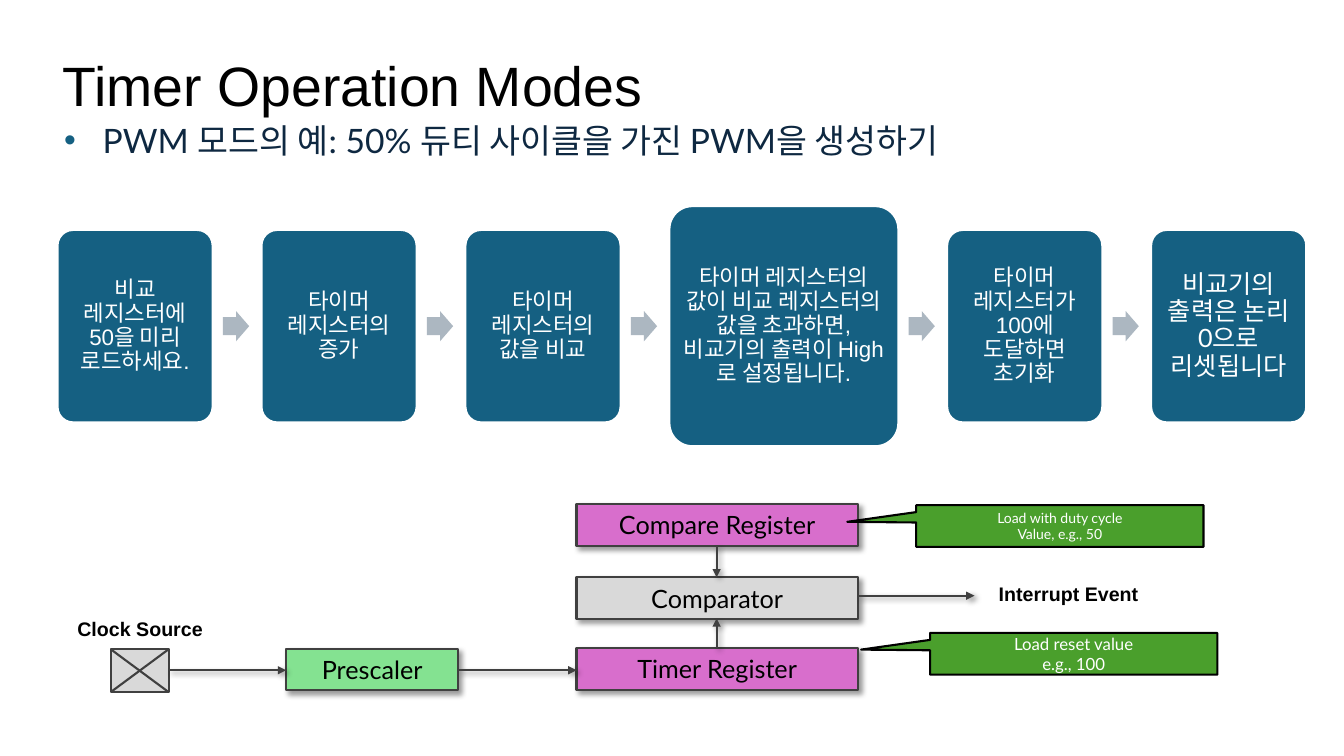
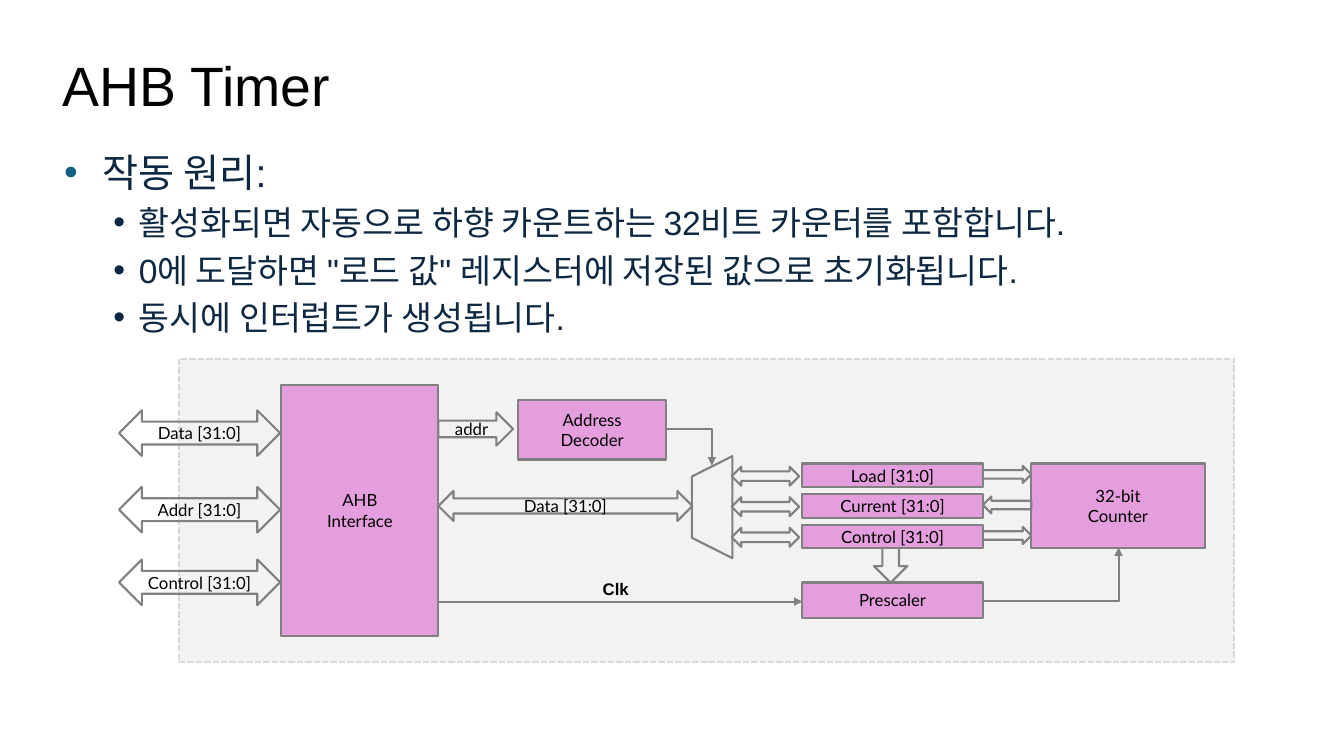
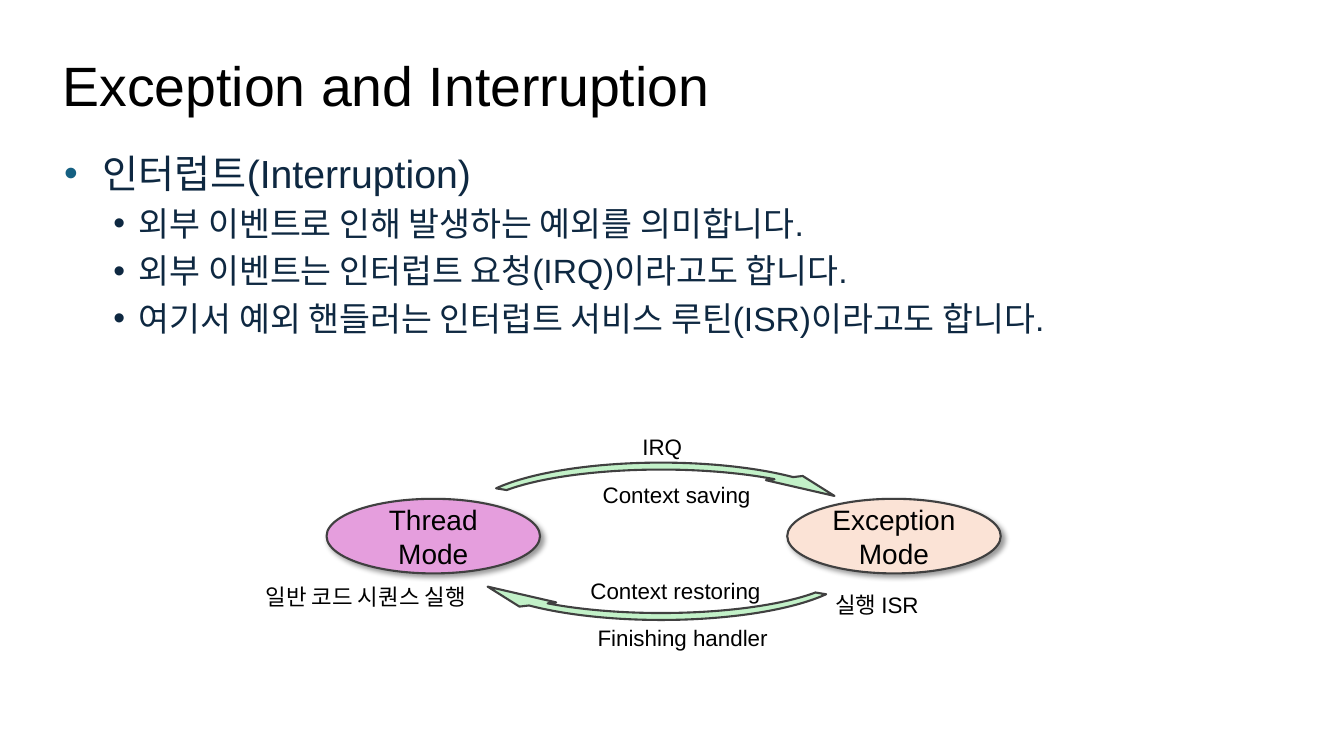
"""Build three slides on timers, the AHB timer and interrupts."""
import pptx
import pptx.dml.color
import pptx.enum.shapes
import pptx.enum.text
import pptx.oxml
import pptx.oxml.ns
import pptx.util
import lxml.etree

Cm = pptx.util.Cm
Pt = pptx.util.Pt
SHAPE = pptx.enum.shapes.MSO_SHAPE
ALIGN = pptx.enum.text.PP_ALIGN
MIDDLE = pptx.enum.text.MSO_ANCHOR.MIDDLE
qn = pptx.oxml.ns.qn
COLORS = {
    "black": "000000", "white": "FFFFFF", "navy": "0E2841", "blue": "156082",
    "step_arrow": "ACB7C1", "magenta": "D86ECC", "pink": "E59EDD",
    "grey": "D9D9D9", "panel": "F2F2F2", "green": "84E291",
    "callout": "4A9F2C", "peach": "FBE3D6", "mint": "C2F1C8",
    "dark": "404040", "mid": "808080",
}
COLOR = {name: pptx.dml.color.RGBColor.from_string(value) for name, value in COLORS.items()}
SHADOW = (
    '<a:outerShdw xmlns:a="http://schemas.openxmlformats.org/drawingml/2006/main" '
    'blurRad="50800" dist="38100" dir="2700000" algn="tl" rotWithShape="0">'
    '<a:srgbClr val="000000"><a:alpha val="40000"/></a:srgbClr></a:outerShdw>'
)
TITLE_BOX = (1.32, 1.32, 31.19, 1.83)


def write(frame, lines, size, color="black", font="Arial", bold=False, **layout):
    """Fill a text frame with one paragraph per line and return the paragraphs."""
    for index, line in enumerate(lines):
        paragraph = frame.paragraphs[0] if index == 0 else frame.add_paragraph()
        for name, value in layout.items():
            setattr(paragraph, name, value)
        run = paragraph.add_run()
        run.text = line
        for name, value in {"name": font, "size": Pt(size), "bold": bold}.items():
            setattr(run.font, name, value)
        run.font.color.rgb = COLOR[color]
    return frame.paragraphs


def draw(slide, kind, box, fill=None, line="mid", shadow=False, rotation=0,
         adjust=(), lines=(), size=12, color="black", font="Lato"):
    """Add a preset shape with centred text and return it."""
    shape = slide.shapes.add_shape(kind, *map(Cm, box))
    shape.rotation = rotation
    for index, value in enumerate(adjust):
        shape.adjustments[index] = value
    if fill:
        shape.fill.solid()
        shape.fill.fore_color.rgb = COLOR[fill]
    else:
        shape.fill.background()
    if line:
        shape.line.color.rgb = COLOR[line]
        shape.line.width = Pt(1.5)
    else:
        shape.line.fill.background()
    shape.shadow.inherit = False
    if shadow:
        effects = shape.element.spPr.find(qn("a:effectLst"))
        effects.append(pptx.oxml.parse_xml(SHADOW))
    shape.text_frame.word_wrap = False
    write(shape.text_frame, lines, size, color, font, alignment=ALIGN.CENTER)
    return shape


deck = pptx.Presentation()
deck.slide_width, deck.slide_height = Cm(33.87), Cm(19.05)

pages = [
    ("Timer Operation Modes", 2.9, 24, "Lato",
     ["PWM 모드의 예: 50% 듀티 사이클을 가진 PWM을 생성하기"]),
    ("AHB Timer", 3.61, 28, "Arial",
     ["작동 원리:",
      "활성화되면 자동으로 하향 카운트하는 32비트 카운터를 포함합니다.",
      "0에 도달하면 \"로드 값\" 레지스터에 저장된 값으로 초기화됩니다.",
      "동시에 인터럽트가 생성됩니다."]),
    ("Exception and Interruption", 3.63, 28, "Arial",
     ["인터럽트(Interruption)",
      "외부 이벤트로 인해 발생하는 예외를 의미합니다.",
      "외부 이벤트는 인터럽트 요청(IRQ)이라고도 합니다.",
      "여기서 예외 핸들러는 인터럽트 서비스 루틴(ISR)이라고도 합니다."]),
]
slides = []
for heading, body_top, lead_size, lead_font, points in pages:
    slide = deck.slides.add_slide(deck.slide_layouts[5])
    slides.append(slide)
    title = slide.shapes.title
    for name, value in zip(("left", "top", "width", "height"), TITLE_BOX):
        setattr(title, name, Cm(value))
    title.text_frame.vertical_anchor = MIDDLE
    title.text_frame.word_wrap = True
    write(title.text_frame, [heading], 39.6, alignment=ALIGN.LEFT, line_spacing=0.9)
    body = slide.shapes.add_textbox(Cm(1.37), Cm(body_top), Cm(31.06), Cm(11.35)).text_frame
    body.word_wrap = True
    for index, paragraph in enumerate(write(body, points, 24, "navy")):
        margin, hanging = (1.88, 0.64) if index else (0.97, 0.97)
        if index:
            paragraph.level = 1
            paragraph.space_before = Pt(5)
        else:
            paragraph.runs[0].font.size = Pt(lead_size)
            paragraph.runs[0].font.name = lead_font
        properties = paragraph._p.get_or_add_pPr()
        properties.set("marL", str(Cm(margin)))
        properties.set("indent", str(-Cm(hanging)))
        bullet_color = lxml.etree.SubElement(properties, qn("a:buClr"))
        lxml.etree.SubElement(bullet_color, qn("a:srgbClr"),
                              val=COLORS["navy" if index else "blue"])
        lxml.etree.SubElement(properties, qn("a:buFont"), typeface="Arial")
        lxml.etree.SubElement(properties, qn("a:buChar"), char="•")
modes, ahb, interruption = slides

steps = [
    ("비교 레지스터에 50을 미리 로드하세요.", 3.91, 4.85, 16, "Arial"),
    ("타이머 레지스터의 증가", 3.91, 4.85, 16, "Arial"),
    ("타이머 레지스터의 값을 비교", 3.91, 4.85, 16, "Arial"),
    ("타이머 레지스터의 값이 비교 레지스터의 값을 초과하면, 비교기의 출력이 High로 설정됩니다.",
     5.77, 6.05, 16, "Arial"),
    ("타이머 레지스터가 100에 도달하면 초기화", 3.91, 4.85, 16, "Arial"),
    ("비교기의 출력은 논리 0으로 리셋됩니다", 3.91, 4.85, 18, "Lato"),
]
step_left, step_middle, step_gap = 1.45, 8.22, 1.23
for index, (step, width, height, size, font) in enumerate(steps):
    if index:
        draw(modes, SHAPE.RIGHT_ARROW, (step_left - 0.97, step_middle - 0.38, 0.66, 0.76),
             "step_arrow", None, adjust=(0.6, 0.5))
    card = draw(modes, SHAPE.ROUNDED_RECTANGLE,
                (step_left, step_middle - height / 2, width, height), "blue", "white",
                adjust=(0.1,), lines=[step], size=size, color="white", font=font)
    card.text_frame.word_wrap = True
    card.text_frame.paragraphs[0].line_spacing = 0.9
    for side in ("left", "top", "right", "bottom"):
        setattr(card.text_frame, "margin_" + side, Cm(0.18))
    step_left += width + step_gap

for block, left, top, width, fill in [
    ("Compare Register", 14.53, 12.7, 7.09, "magenta"),
    ("Comparator", 14.53, 14.55, 7.09, "grey"),
    ("Timer Register", 14.53, 16.33, 7.09, "magenta"),
    ("Prescaler", 7.21, 16.35, 4.34, "green"),
]:
    draw(modes, SHAPE.RECTANGLE, (left, top, width, 1.05), fill, "dark", True,
         lines=[block], size=18)
draw(modes, SHAPE.RECTANGLE, (2.79, 16.36, 1.46, 1.08), "grey", "dark")
for hint, left, top, size in [
    (["Load with duty cycle", "Value, e.g., 50"], 23.09, 12.73, 10),
    (["Load reset value", "e.g., 100"], 23.44, 15.95, 12),
]:
    draw(modes, SHAPE.RECTANGULAR_CALLOUT, (left, top, 7.24, 1.05), "callout", "black",
         adjust=(-0.74, -0.1), lines=hint, size=size, color="white")

panel = draw(ahb, SHAPE.RECTANGLE, (4.52, 9.04, 26.59, 7.65), "panel", "grey")
panel.line.dash_style = pptx.enum.dml.MSO_LINE.SQUARE_DOT
for block, box in [
    (["AHB", "Interface"], (7.09, 9.7, 3.96, 6.32)),
    (["Address", "Decoder"], (13.06, 10.08, 3.73, 1.5)),
    (["32-bit", "Counter"], (25.98, 11.68, 4.39, 2.13)),
    (["Prescaler"], (20.22, 14.68, 4.55, 0.89)),
]:
    draw(ahb, SHAPE.FLOWCHART_PROCESS, box, "pink", lines=block)
draw(ahb, SHAPE.FLOWCHART_MANUAL_OPERATION, (16.66, 12.27, 2.57, 1.02), "panel", rotation=90)
for bus, kind, box, rotation in [
    (["Data [31:0]"], SHAPE.LEFT_RIGHT_ARROW, (3, 10.34, 4.06, 1.15), 0),
    (["Addr [31:0]"], SHAPE.LEFT_RIGHT_ARROW, (3, 12.27, 4.06, 1.15), 0),
    (["Control [31:0]"], SHAPE.LEFT_RIGHT_ARROW, (3, 14.1, 4.06, 1.15), 0),
    (["Data [31:0]"], SHAPE.LEFT_RIGHT_ARROW, (11.05, 12.37, 6.4, 0.76), 0),
    (["addr"], SHAPE.RIGHT_ARROW, (11.05, 10.39, 1.88, 0.84), 0),
    ([], SHAPE.RIGHT_ARROW, (22, 13.82, 0.89, 0.84), 90),
]:
    draw(ahb, kind, box, rotation=rotation, lines=bus)
for row, (register, rotation) in enumerate([("Load", 0), ("Current", 180), ("Control", 0)]):
    top = 11.68 + 0.77 * row
    draw(ahb, SHAPE.FLOWCHART_PROCESS, (20.22, top, 4.55, 0.6), "pink",
         lines=[register + " [31:0]"])
    draw(ahb, SHAPE.LEFT_RIGHT_ARROW, (18.44, top + 0.08, 1.7, 0.48))
    draw(ahb, SHAPE.RIGHT_ARROW, (24.77, top + 0.06, 1.22, 0.43), rotation=rotation)

for mode, left, fill in [("Thread", 8.23, "pink"), ("Exception", 19.84, "peach")]:
    draw(interruption, SHAPE.OVAL, (left, 12.57, 5.38, 1.88), fill, "dark", True,
         lines=[mode, "Mode"], size=20, font="Arial")
for top, rotation in [(11.28, 0), (12.57, 180)]:
    draw(interruption, SHAPE.CIRCULAR_ARROW, (11.43, top, 10.46, 3.43), "mint", "dark",
         rotation=rotation, adjust=(0.051, 6.281, 205.834, 113.642, 0.136))

for slide, label, box, size, bold, alignment in [
    (modes, "Interrupt Event", (24.92, 14.53, 5.74, 0.86), 14, True, ALIGN.LEFT),
    (modes, "Clock Source", (1.7, 15.42, 5.08, 0.86), 14, True, ALIGN.LEFT),
    (ahb, "Clk", (14.94, 14.45, 2.64, 0.76), 12, True, ALIGN.LEFT),
    (interruption, "IRQ", (15.24, 10.8, 2.9, 0.94), 16, False, ALIGN.CENTER),
    (interruption, "실행 ISR", (20.8, 14.76, 4.9, 0.94), 16, False, ALIGN.LEFT),
    (interruption, "일반 코드 시퀀스 실행", (6.45, 14.58, 6.4, 0.94), 16, False, ALIGN.LEFT),
    (interruption, "Finishing handler", (14.81, 15.6, 6.35, 0.94), 16, False, ALIGN.LEFT),
    (interruption, "Context saving", (14.94, 11.99, 6.38, 0.94), 16, False, ALIGN.LEFT),
    (interruption, "Context restoring", (14.63, 14.43, 6.38, 0.94), 16, False, ALIGN.LEFT),
]:
    caption = slide.shapes.add_textbox(*map(Cm, box)).text_frame
    caption.word_wrap = True
    write(caption, [label], size, bold=bold, alignment=alignment)

for slide, ends, color, arrow, shadow, bent in [
    (modes, (2.79, 16.36, 4.25, 17.44), "dark", False, False, False),
    (modes, (4.25, 16.36, 2.79, 17.44), "dark", False, False, False),
    (modes, (4.25, 16.89, 7.21, 16.89), "dark", True, True, False),
    (modes, (11.55, 16.89, 14.53, 16.89), "dark", True, True, False),
    (modes, (18.06, 16.33, 18.06, 15.58), "dark", True, True, False),
    (modes, (18.06, 13.75, 18.06, 14.55), "dark", True, True, False),
    (modes, (21.62, 15.01, 24.56, 15.01), "dark", True, True, False),
    (ahb, (11.05, 15.16, 20.22, 15.16), "mid", True, False, False),
    (ahb, (16.79, 10.82, 17.94, 11.73), "mid", True, False, True),
    (ahb, (24.77, 15.14, 28.19, 13.8), "mid", True, False, True),
]:
    wire = slide.shapes.add_connector(
        pptx.enum.shapes.MSO_CONNECTOR.ELBOW if bent else pptx.enum.shapes.MSO_CONNECTOR.STRAIGHT,
        *map(Cm, ends))
    wire.line.color.rgb = COLOR[color]
    wire.line.width = Pt(1.5)
    properties = wire._element.spPr
    if bent:
        properties.find(qn("a:prstGeom")).set("prst", "bentConnector2")
    if arrow:
        lxml.etree.SubElement(properties.find(qn("a:ln")), qn("a:tailEnd"), type="triangle")
    effects = lxml.etree.SubElement(properties, qn("a:effectLst"))
    if shadow:
        effects.append(pptx.oxml.parse_xml(SHADOW))

deck.save("out.pptx")
